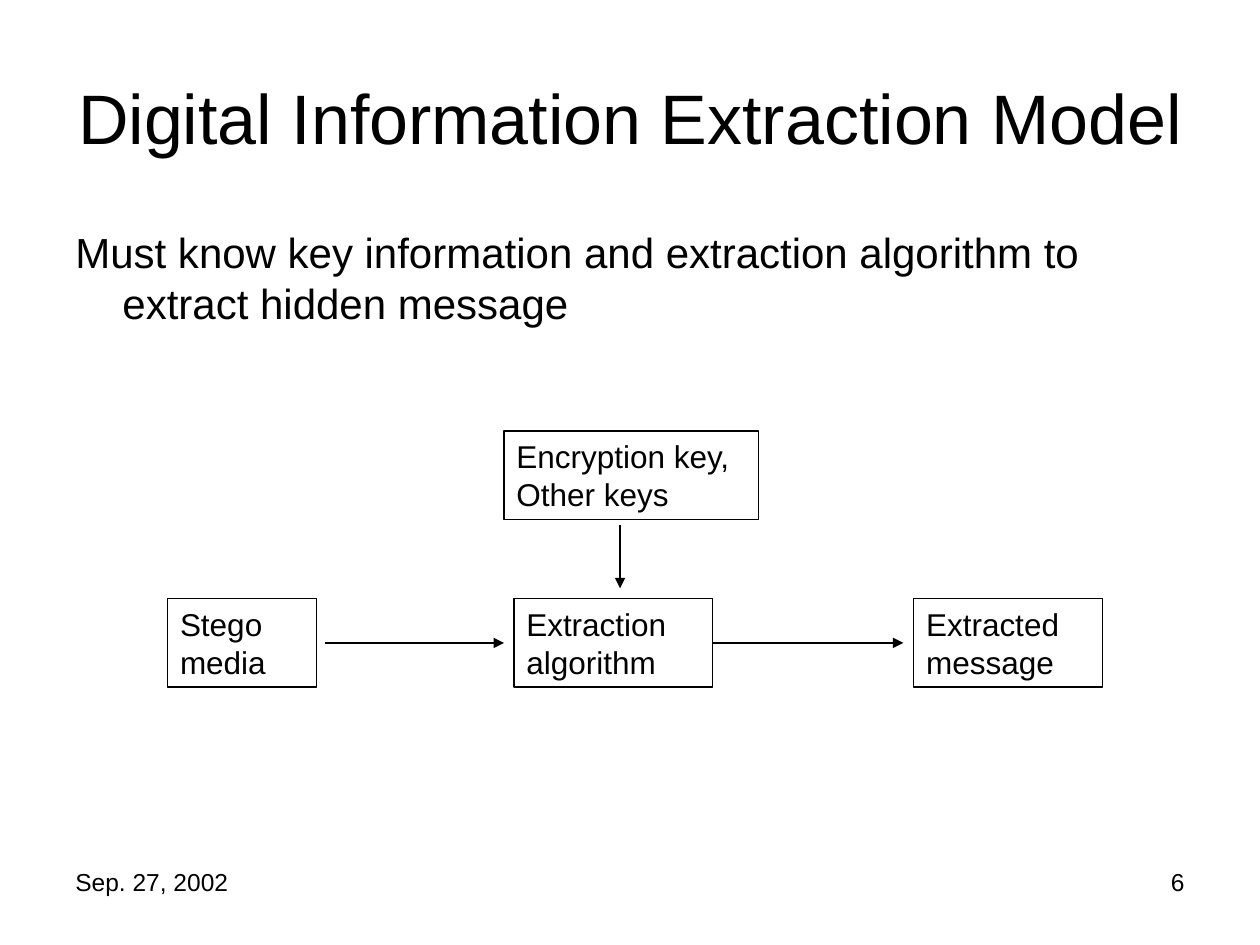
"""Build the Digital Information Extraction Model slide."""
from dataclasses import dataclass
from typing import Optional

import pptx
import pptx.dml.color
import pptx.enum.shapes
import pptx.enum.text
import pptx.oxml
import pptx.oxml.ns
import pptx.util

Cm = pptx.util.Cm
Align = pptx.enum.text.PP_ALIGN
Anchor = pptx.enum.text.MSO_ANCHOR
INK = "000000"
ROW_TOP = 12.07
BOX_HEIGHT = 1.78
ROW_MIDDLE = ROW_TOP + BOX_HEIGHT / 2


@dataclass
class Label:
    text: str
    left: float
    top: float
    width: float
    height: float
    size: int
    align: Align = Align.LEFT
    anchor: Anchor = Anchor.TOP
    hanging: float = 0


@dataclass
class Node:
    text: str
    left: float
    top: float
    width: float


@dataclass
class Arrow:
    start: tuple[float, float]
    end: tuple[float, float]
    source: Optional[str] = None


LABELS = [
    Label("Digital Information Extraction Model", 1.27, 0.76, 22.86, 3.18, 40,
          Align.CENTER, Anchor.MIDDLE),
    Label("Must know key information and extraction algorithm to extract hidden message",
          1.27, 4.45, 22.86, 12.57, 24, hanging=0.95),
    Label("6", 18.21, 17.36, 5.92, 1.32, 14, Align.RIGHT),
    Label("Sep. 27, 2002", 1.27, 17.36, 5.92, 1.32, 14),
]
NODES = [
    Node("Encryption key,\nOther keys", 10.16, 8.69, 5.13),
    Node("Stego media", 3.38, ROW_TOP, 3),
    Node("Extraction algorithm", 10.36, ROW_TOP, 4.01),
    Node("Extracted message", 18.42, ROW_TOP, 3.81),
]
ARROWS = [
    Arrow((6.55, ROW_MIDDLE), (10.16, ROW_MIDDLE)),
    Arrow((12.5, 10.59), (12.5, 11.86)),
    Arrow((14.37, ROW_MIDDLE), (18.21, ROW_MIDDLE), "Extraction algorithm"),
]


def colour(value: str) -> pptx.dml.color.RGBColor:
    """Turn a hex string into a colour."""
    return pptx.dml.color.RGBColor.from_string(value)


def write(box, text: str, size: int, align: Align = Align.LEFT) -> None:
    """Put wrapped text in a box and format its runs."""
    frame = box.text_frame
    frame.text = text
    frame.word_wrap = True
    for para in frame.paragraphs:
        para.alignment = align
        for span in para.runs:
            span.font.name = "Arial"
            span.font.size = pptx.util.Pt(size)
            span.font.color.rgb = colour(INK)


def outline(shape) -> None:
    """Give a shape or connector the thin dark line."""
    shape.line.color.rgb = colour(INK)
    shape.line.width = pptx.util.Pt(0.75)


def draw_label(page, label: Label) -> None:
    """Draw a plain text box."""
    box = page.shapes.add_textbox(
        Cm(label.left), Cm(label.top), Cm(label.width), Cm(label.height))
    write(box, label.text, label.size, label.align)
    box.text_frame.vertical_anchor = label.anchor
    if label.hanging:
        properties = box.text_frame.paragraphs[0]._p.get_or_add_pPr()
        properties.set("marL", str(Cm(label.hanging)))
        properties.set("indent", str(-Cm(label.hanging)))


def draw_node(page, node: Node):
    """Draw an outlined rectangle with its text."""
    box = page.shapes.add_shape(
        pptx.enum.shapes.MSO_SHAPE.RECTANGLE,
        Cm(node.left), Cm(node.top), Cm(node.width), Cm(BOX_HEIGHT))
    box.shadow.inherit = False
    box.fill.background()
    outline(box)
    write(box, node.text, 18)
    box.text_frame.vertical_anchor = Anchor.TOP
    return box


def draw_arrow(page, arrow: Arrow, boxes: dict) -> None:
    """Draw an arrow, joined to the right side of its source if it has one."""
    line = page.shapes.add_connector(
        pptx.enum.shapes.MSO_CONNECTOR.STRAIGHT,
        *(Cm(length) for length in arrow.start + arrow.end))
    if arrow.source:
        line.begin_connect(boxes[arrow.source], 3)
    outline(line)
    head = pptx.oxml.parse_xml(
        f'<a:tailEnd {pptx.oxml.ns.nsdecls("a")} type="triangle"/>')
    line.line._get_or_add_ln().append(head)
    line._element.spPr.append(
        pptx.oxml.parse_xml(f'<a:effectLst {pptx.oxml.ns.nsdecls("a")}/>'))


def main() -> None:
    """Assemble and save the deck."""
    deck = pptx.Presentation()
    deck.slide_width, deck.slide_height = Cm(25.4), Cm(19.05)
    page = deck.slides.add_slide(deck.slide_layouts[6])
    for label in LABELS:
        draw_label(page, label)
    boxes = {node.text: draw_node(page, node) for node in NODES}
    for arrow in ARROWS:
        draw_arrow(page, arrow, boxes)
    deck.save("out.pptx")


if __name__ == "__main__":
    main()
